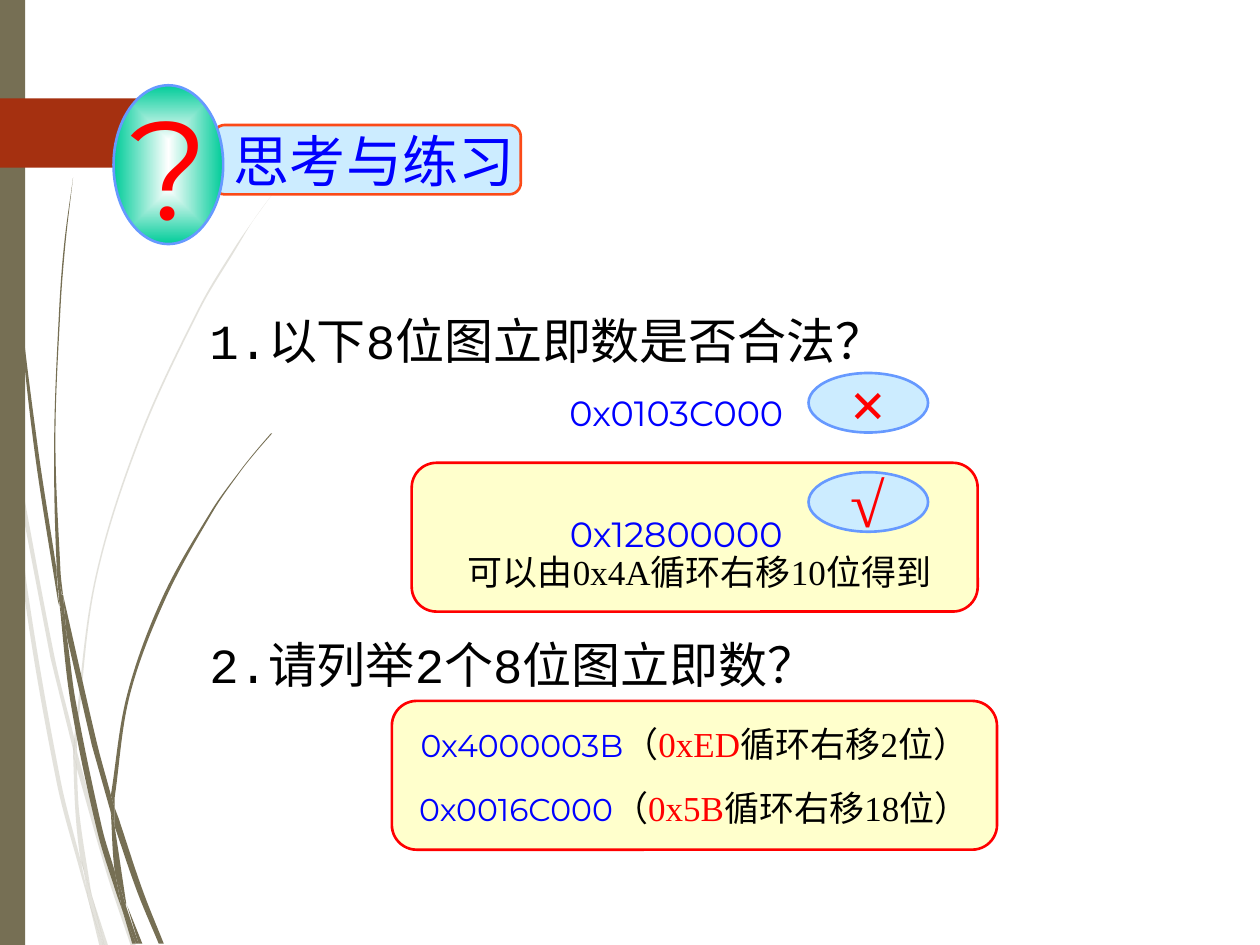
from math import dist, hypot
from lxml.etree import SubElement
from pptx import Presentation
from pptx.dml.color import RGBColor
from pptx.enum.shapes import MSO_SHAPE as Shape
from pptx.enum.text import MSO_ANCHOR as Anchor, PP_ALIGN as Align
from pptx.oxml.ns import qn
from pptx.util import Cm, Pt

COLORS = {
    "olive": "766F54", "rust": "A53010", "cream": "FFFFCC", "sky": "CCECFF",
    "red": "FF0000", "edge": "6699FF", "orange": "FB4A18", "blue": "0000FF",
    "black": "000000", "white": "FFFFFF", "green": "00CC99",
}
SERIF, MONO, SANS = "Times New Roman", "Courier New", "Montserrat"
GRID = Cm(0.0254)

PALE_BLADES = [
    ([(8, 350), (6, 322), (0, 282)], [(0, 299), (7, 344), (8, 350)]),
    ([(40, 522), (59, 599)], [(59, 586), (43, 520), (10, 345)], [(12, 376), (40, 522)]),
    ([(64, 607), (61, 596)], [(61, 610), (85, 694), (104, 751)],
     [(108, 751), (88, 692), (64, 607)]),
    ([(83, 751), (86, 751)], [(86, 751), (73, 711)], [(73, 711), (83, 751)]),
    ([(64, 683), (48, 619), (22, 469), (12, 376), (8, 350)],
     [(8, 350), (19, 470), (45, 621), (64, 693), (70, 714)],
     [(70, 714), (69, 707), (64, 683)]),
    ([(58, 599), (60, 646), (64, 683), (67, 692), (73, 711)],
     [(72, 706), (63, 646), (61, 610), (61, 608), (58, 599)]),
    ([(61, 584), (76, 462), (111, 349), (159, 245), (187, 198), (201, 175), (217, 153)],
     [(217, 153), (201, 175), (186, 197), (158, 244), (110, 348), (75, 461),
      (59, 584), (59, 586)], [(59, 586), (61, 596)]),
    ([(70, 714), (79, 751)], [(82, 751), (70, 714)]),
    ([(61, 608), (61, 610)], [(61, 610), (61, 596), (59, 586)], [(58, 599), (61, 608)]),
    ([(67, 692), (65, 683)], [(65, 683), (69, 707), (70, 714), (82, 751)],
     [(83, 751), (73, 711), (67, 692)]),
]
DARK_BLADES = [
    ([(5, 110), (14, 233), (27, 355), (46, 477), (47, 481)],
     [(45, 457), (45, 453), (30, 355), (15, 232), (6, 109), (4, 48), (3, 0)],
     [(2, 0), (3, 48), (5, 110)]),
    ([(73, 592), (88, 645)],
     [(88, 633), (88, 631), (77, 590), (50, 472)], [(53, 505), (73, 592)]),
    ([(94, 649), (91, 641)], [(91, 656), (109, 708), (126, 749)],
     [(130, 749), (113, 706), (94, 649)]),
    ([(91, 691), (81, 657), (60, 556), (53, 505), (47, 477)],
     [(47, 477), (56, 557), (77, 659), (92, 708), (97, 722)],
     [(96, 717), (91, 691)]),
    ([(50, 472), (48, 453), (44, 349), (48, 245), (52, 193), (58, 141)],
     [(58, 141), (51, 193), (47, 245), (43, 349), (45, 449), (49, 471)]),
    ([(110, 749), (113, 749)], [(113, 749), (101, 719)], [(101, 719), (110, 749)]),
    ([(47, 477), (53, 505)], [(53, 505), (50, 472)], [(49, 472), (45, 449)],
     [(45, 453), (47, 477)]),
    ([(91, 633), (103, 552), (131, 476), (169, 406), (191, 374), (203, 359), (216, 344)],
     [(215, 344), (203, 358), (191, 373), (168, 405), (129, 474), (101, 551),
      (88, 631)], [(88, 631), (91, 641)]),
    ([(97, 722), (105, 749)], [(108, 749), (97, 722)]),
    ([(88, 645), (91, 691), (96, 706), (100, 719)],
     [(100, 716), (91, 656), (90, 651), (88, 645)]),
    ([(88, 645), (90, 651), (91, 656)], [(91, 656), (91, 641)], [(88, 631), (88, 645)]),
    ([(96, 706), (91, 691)], [(91, 691), (96, 717), (97, 722), (108, 749)],
     [(110, 749), (100, 719), (96, 706)]),
]
BANNER = [[(0, 78), (121, 78)], [(124, 79), (149, 104)], [(149, 107), (124, 132)],
          [(121, 133), (0, 133)]]

IMMEDIATES = [("×", 7.52), ("√", 9.52)]
EXAMPLES = [("0x4000003B", "0xED", "循环右移2位）"),
            ("0x0016C000", "0x5B", "循环右移18位）")]
FIRST_QUESTION = [
    (Align.JUSTIFY, 0, [("1.以下8位图立即数是否合法？", MONO, 28, "black")]),
    (Align.CENTER, 12.5, [("0x0103C000", SANS, 20, "blue")]),
    (Align.CENTER, 45.4, [("0x12800000", SANS, 20, "blue")]),
]
SECOND_QUESTION = [
    (Align.JUSTIFY, 0, [("2.请列举2个8位图立即数？", MONO, 28, "black")]),
]

deck = Presentation()
deck.slide_width, deck.slide_height = Cm(25.4), Cm(19.05)
slide = deck.slides.add_slide(deck.slide_layouts[6])


def rgb(name):
    return RGBColor.from_string(COLORS[name])


def edge_handles(edge):
    padded = [edge[0], *edge, edge[-1]]
    slopes = []
    for before, after in zip(padded, padded[2:]):
        run, rise = after[0] - before[0], after[1] - before[1]
        length = hypot(run, rise) or 1
        slopes.append((run / length, rise / length))
    for index, (start, end) in enumerate(zip(edge, edge[1:])):
        reach = dist(start, end) / 3
        yield (tuple(p + reach * s for p, s in zip(start, slopes[index])),
               tuple(p - reach * s for p, s in zip(end, slopes[index + 1])))


def add_outline(edges, color, opacity=None):
    points, handles = [], []
    for edge in edges:
        if points and points[-1] == edge[0]:
            edge_points = edge[1:]
        else:
            edge_points = edge
            handles += [None] if points else []
        points += edge_points
        handles += edge_handles(edge)
    scaled = [(x * GRID, y * GRID) for x, y in points]
    builder = slide.shapes.build_freeform(*scaled[0])
    builder.add_line_segments(scaled[1:], close=True)
    outline = builder.convert_to_shape()
    paint(outline, color)
    bend(outline, handles)
    if opacity:
        tone = outline.fill._xPr.find(".//" + qn("a:srgbClr"))
        SubElement(tone, qn("a:alpha")).set("val", str(opacity * 1000))


def bend(outline, handles):
    segments = outline._element.findall(".//" + qn("a:lnTo"))
    for segment, pair in zip(segments, handles):
        if pair:
            segment.tag = qn("a:cubicBezTo")
            for place, (x, y) in enumerate(pair):
                handle = SubElement(segment, qn("a:pt"))
                handle.set("x", str(round(x * GRID - outline.left)))
                handle.set("y", str(round(y * GRID - outline.top)))
                segment.insert(place, handle)


def paint(shape, fill, line=None):
    shape.shadow.inherit = False
    shape.fill.solid()
    shape.fill.fore_color.rgb = rgb(fill)
    if line:
        shape.line.color.rgb = rgb(line)
        shape.line.width = Pt(1.5)
    else:
        shape.line.fill.background()


def add_panel(kind, box, fill, line=None):
    panel = slide.shapes.add_shape(kind, *map(Cm, box))
    paint(panel, fill, line)
    return panel


def write(shape, paragraphs, wrap=False, anchor=Anchor.MIDDLE):
    frame = shape.text_frame
    frame.word_wrap = wrap
    frame.vertical_anchor = anchor
    for index, (align, before, pieces) in enumerate(paragraphs):
        paragraph = frame.add_paragraph() if index else frame.paragraphs[0]
        paragraph.alignment = align
        if before:
            paragraph.space_before = Pt(before)
        for text, font, size, color in pieces:
            run = paragraph.add_run()
            run.text = text
            run.font.name, run.font.size = font, Pt(size)
            run.font.color.rgb = rgb(color)


def write_line(shape, text, font, size, color, wrap=False):
    write(shape, [(Align.CENTER, 0, [(text, font, size, color)])], wrap)


def add_question(top, height, paragraphs):
    question = slide.shapes.add_textbox(Cm(3.97), Cm(top), Cm(19.33), Cm(height))
    write(question, paragraphs, True, Anchor.TOP)


for blades, opacity in [(PALE_BLADES, 20), (DARK_BLADES, None)]:
    for edges in blades:
        add_outline(edges, "olive", opacity)
add_panel(Shape.RECTANGLE, (0, 0, 0.51, 19.05), "olive")
add_outline(BANNER, "rust")

add_panel(Shape.ROUNDED_RECTANGLE, (8.3, 9.33, 11.41, 3), "cream", "red")
caption = add_panel(Shape.RECTANGLE, (9.1, 10.92, 10, 1.2), "cream")
write_line(caption, "可以由0x4A循环右移10位得到", SERIF, 20, "black")
for mark, top in IMMEDIATES:
    verdict = add_panel(Shape.OVAL, (16.3, top, 2.41, 1.2), "sky", "edge")
    write_line(verdict, mark, SERIF, 36, "red")
    verdict.text_frame.paragraphs[0].runs[0].font.bold = True

add_question(12.66, 1.45, SECOND_QUESTION)

title = add_panel(Shape.ROUNDED_RECTANGLE, (4.3, 2.52, 6.2, 1.4), "sky", "orange")
write_line(title, "思考与练习", SERIF, 32, "blue")
title.text_frame.margin_left = Cm(0.54)

badge = add_panel(Shape.OVAL, (2.29, 1.72, 2.21, 3.2), "green", "edge")
badge.fill.gradient()
for stop, color in zip(badge.fill.gradient_stops, ("white", "green")):
    stop.color.rgb = rgb(color)
gradient = badge.fill._xPr.find(qn("a:gradFill"))
gradient.remove(gradient.find(qn("a:lin")))
center = SubElement(SubElement(gradient, qn("a:path"), {"path": "rect"}), qn("a:fillToRect"))
for side in "ltrb":
    center.set(side, "50000")
write_line(badge, "?", SANS, 80, "red", wrap=True)
badge.text_frame.margin_left = badge.text_frame.margin_right = 0

add_question(6.14, 5.18, FIRST_QUESTION)

answers = add_panel(Shape.ROUNDED_RECTANGLE, (7.9, 14.13, 12.2, 3), "cream", "red")
write(answers, [
    (Align.CENTER, 12.5 * bool(index), [
        (value, SANS, 18, "blue"), ("（", SERIF, 20, "black"),
        (base, SERIF, 20, "red"), (shift, SERIF, 20, "black")])
    for index, (value, base, shift) in enumerate(EXAMPLES)])

deck.save("out.pptx")
